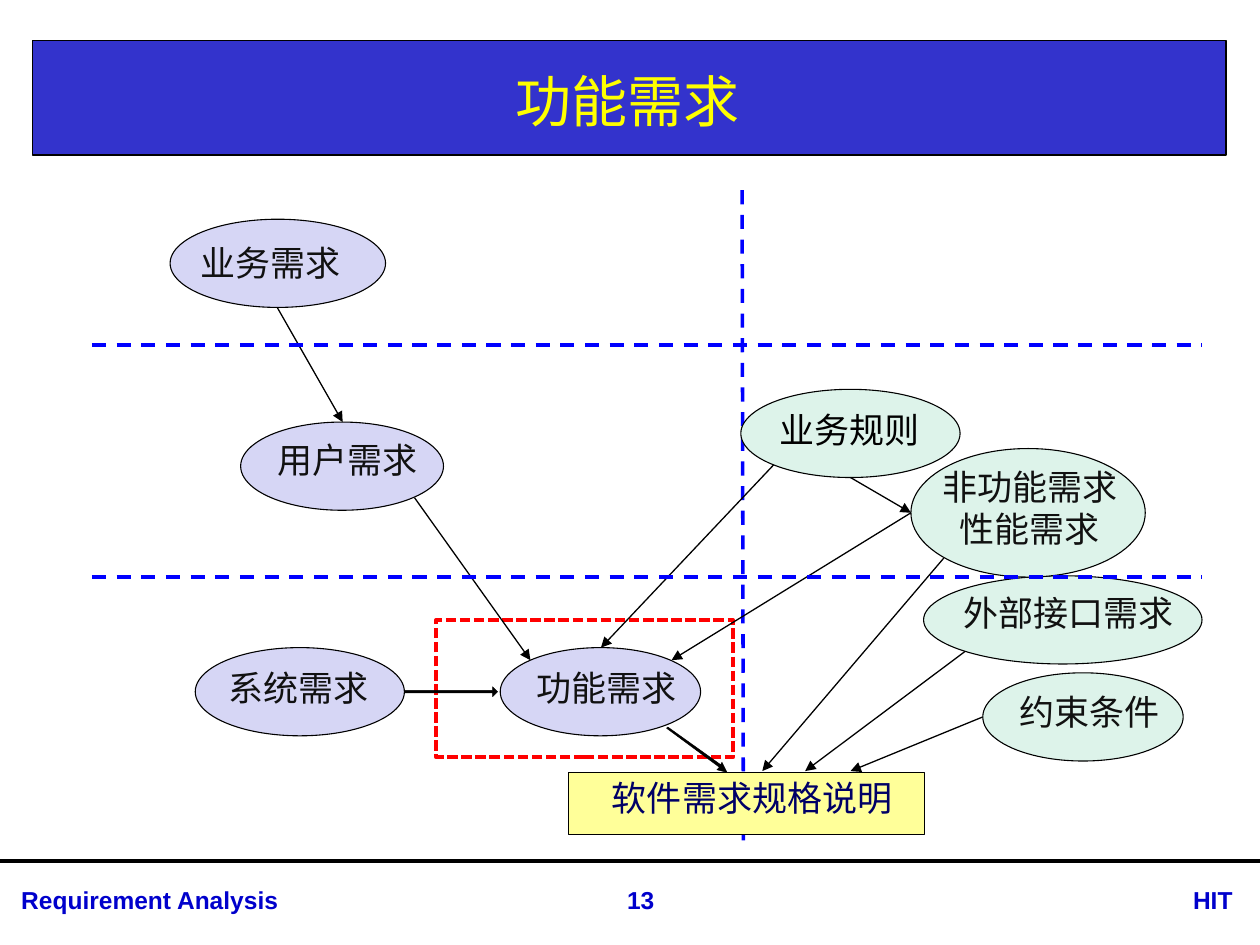
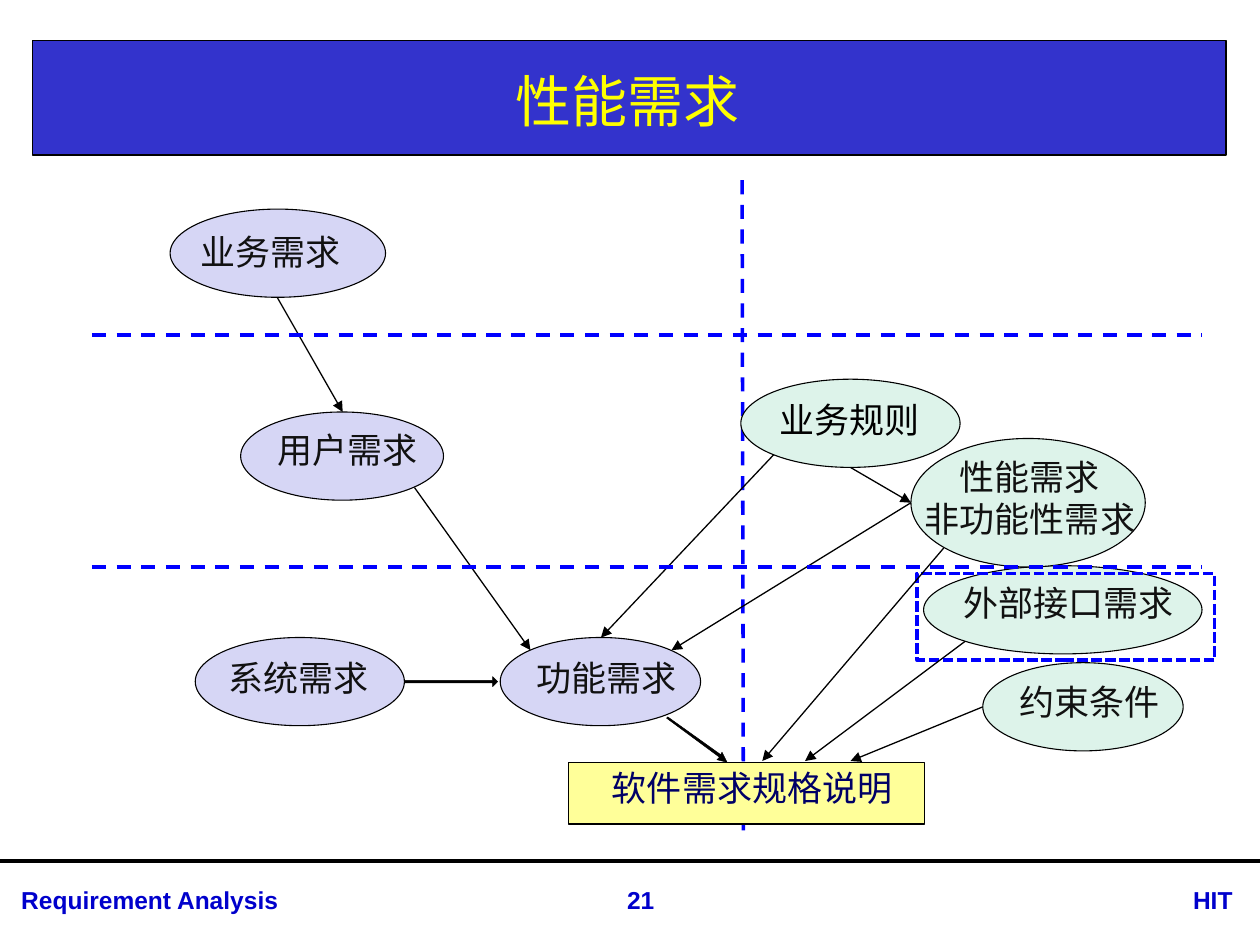
"""Build two slides on functional and performance requirements."""
from lxml import etree
from pptx import Presentation
from pptx.dml.color import RGBColor
from pptx.enum import dml, shapes, text
from pptx.oxml.ns import qn
from pptx.util import Inches, Pt

BLACK = RGBColor(0x00, 0x00, 0x00)
INK = RGBColor(0x11, 0x11, 0x11)
NAVY = RGBColor(0x00, 0x00, 0x66)
BLUE = RGBColor(0x00, 0x00, 0xFF)
RED = RGBColor(0xFF, 0x00, 0x00)
YELLOW = RGBColor(0xFF, 0xFF, 0x00)
BAND_BLUE = RGBColor(0x33, 0x33, 0xCC)
FOOTER_BLUE = RGBColor(0x00, 0x00, 0xCC)
LILAC = RGBColor(0xD6, 0xD6, 0xF5)
MINT = RGBColor(0xDD, 0xF3, 0xEA)
CREAM = RGBColor(0xFF, 0xFF, 0x99)
LATIN, CHINESE = "Arial", "Noto Sans CJK SC"
OVAL, RECT = shapes.MSO_SHAPE.OVAL, shapes.MSO_SHAPE.RECTANGLE
DASH, SHORT_DASH = dml.MSO_LINE.DASH, dml.MSO_LINE.SQUARE_DOT
LEFT, CENTER = text.PP_ALIGN.LEFT, text.PP_ALIGN.CENTER


def write(box, lines, size, font, color, bold=False, align=CENTER, inset=0):
    """Fill a box with middle-anchored lines of one style."""
    frame = box.text_frame
    frame.word_wrap = True
    frame.auto_size = text.MSO_AUTO_SIZE.NONE
    frame.vertical_anchor = text.MSO_ANCHOR.MIDDLE
    frame.margin_left = frame.margin_right = Inches(inset)
    frame.margin_top = frame.margin_bottom = 0
    for index, line in enumerate(lines):
        para = frame.add_paragraph() if index else frame.paragraphs[0]
        para.alignment = align
        if len(lines) > 1:
            para.line_spacing = Pt(24)
        span = para.add_run()
        span.text = line
        span.font.size = Pt(size)
        span.font.bold = bold
        span.font.name = font
        span.font.color.rgb = color
        etree.SubElement(span.font._element, qn("a:ea")).set("typeface", font)


def draw_line(page, start, end, color, width, dash=None, arrow=False):
    """Draw a straight line, dashed or with an arrowhead on request."""
    line = page.shapes.add_connector(
        shapes.MSO_CONNECTOR.STRAIGHT, *map(Inches, start + end))
    line.line.color.rgb = color
    line.line.width = Pt(width)
    if dash:
        line.line.dash_style = dash
    if arrow:
        etree.SubElement(line.line._get_or_add_ln(), qn("a:tailEnd")).set("type", "triangle")
    etree.SubElement(line._element.spPr, qn("a:effectLst"))
    return line


deck = Presentation()
deck.slide_width, deck.slide_height = Inches(10), Inches(7.5)
layout = deck.slide_layouts[5]
for holder in list(layout.placeholders):
    if holder.placeholder_format.type != shapes.PP_PLACEHOLDER.TITLE:
        holder.element.getparent().remove(holder.element)

first_page = deck.slides.add_slide(layout)
band = first_page.shapes.add_shape(RECT, *map(Inches, (0.26, 0.32, 9.47, 0.91)))
band.shadow.inherit = False
band.fill.solid()
band.fill.fore_color.rgb = BAND_BLUE
band.line.color.rgb = BLACK
band.line.width = Pt(0.75)
shared = [band, draw_line(first_page, (0, 6.83), (10, 6.83), BLACK, 2.25)]
for left, width, words in [(0.07, 2.91, "Requirement Analysis"), (9.37, 0.69, "HIT")]:
    footer = first_page.shapes.add_textbox(*map(Inches, (left, 6.97, width, 0.34)))
    write(footer, [words], 14, LATIN, FOOTER_BLUE, True, LEFT, 0.1)
    shared.append(footer)
for part in shared:
    layout.shapes.element.append(part.element)

nodes = [
    (OVAL, (1.35, 1.74, 1.71, 0.7), LILAC),
    (OVAL, (5.88, 3.09, 1.74, 0.7), MINT),
    (OVAL, (3.97, 5.14, 1.59, 0.7), LILAC),
    (OVAL, (1.55, 5.14, 1.66, 0.7), LILAC),
    (RECT, (4.51, 6.13, 2.83, 0.49), CREAM),
    (OVAL, (7.33, 4.57, 2.21, 0.7), MINT),
    (OVAL, (1.91, 3.35, 1.61, 0.7), LILAC),
    (OVAL, (7.8, 5.34, 1.59, 0.7), MINT),
    (OVAL, (7.23, 3.56, 1.86, 1.02), MINT),
]
labels = [
    ((1.24, 1.91, 1.82, 0.34), "业务需求", INK),
    ((5.73, 3.24, 2.03, 0.34), "业务规则", BLACK),
    ((3.74, 5.29, 2.15, 0.34), "功能需求", INK),
    ((1.3, 5.29, 2.14, 0.34), "系统需求", INK),
    ((4.28, 6.16, 3.38, 0.34), "软件需求规格说明", NAVY),
    ((7.22, 4.69, 2.52, 0.34), "外部接口需求", INK),
    ((1.69, 3.48, 2.14, 0.34), "用户需求", INK),
    ((7.56, 5.48, 2.18, 0.34), "约束条件", INK),
]
arrows = [
    ((3.29, 3.95), (4.21, 5.24)),
    ((2.2, 2.44), (2.72, 3.35)),
    ((6.14, 3.69), (4.77, 5.14)),
    ((6.75, 3.79), (7.23, 4.07)),
    ((7.23, 4.07), (5.33, 5.24)),
    ((7.49, 4.43), (6.05, 6.12)),
    ((7.66, 5.17), (6.39, 6.12)),
    ((7.8, 5.69), (6.75, 6.12)),
]
thick_arrows = [
    [(3.21, 5.48), (3.91, 5.48), (3.91, 5.45), (3.95, 5.49),
     (3.91, 5.53), (3.91, 5.5), (3.21, 5.5)],
    [(5.3, 5.77), (5.72, 6.07), (5.73, 6.05), (5.77, 6.13),
     (5.69, 6.11), (5.71, 6.09), (5.29, 5.78)],
]
slides = [
    (first_page, "功能需求", "13", 0, ["非功能需求", "性能需求"],
     (3.46, 4.92, 2.36, 1.09), RED),
    (deck.slides.add_slide(layout), "性能需求", "21", 0.08, ["性能需求", "非功能性需求"],
     (7.28, 4.63, 2.36, 0.69), BLUE),
]

for page, heading, number, rise, quality_lines, highlight, highlight_color in slides:
    title = page.shapes.title
    title.left, title.top, title.width, title.height = map(Inches, (0.26, 0.36, 9.45, 0.87))
    write(title, [heading], 32, CHINESE, YELLOW)
    number_box = page.shapes.add_textbox(*map(Inches, (4.57, 6.97, 1.03, 0.34)))
    write(number_box, [number], 14, LATIN, FOOTER_BLUE, True)
    draw_line(page, (5.89, 1.51 - rise), (5.9, 6.67 - rise), BLUE, 2, DASH)

    for kind, (left, top, width, height), fill in nodes + [(RECT, highlight, None)]:
        node = page.shapes.add_shape(kind, *map(Inches, (left, top - rise, width, height)))
        node.shadow.inherit = False
        if fill:
            node.fill.solid()
            node.fill.fore_color.rgb = fill
            node.line.color.rgb = BLACK
            node.line.width = Pt(0.63)
        else:
            node.fill.background()
            node.line.color.rgb = highlight_color
            node.line.width = Pt(2)
            node.line.dash_style = SHORT_DASH

    quality_label = ((6.91, 3.71, 2.53, 0.64), "\n".join(quality_lines), INK)
    for (left, top, width, height), words, color in labels + [quality_label]:
        label = page.shapes.add_textbox(*map(Inches, (left, top - rise, width, height)))
        write(label, words.split("\n"), 20, CHINESE, color)

    for (x1, y1), (x2, y2) in arrows:
        draw_line(page, (x1, y1 - rise), (x2, y2 - rise), BLACK, 0.75, arrow=True)
    for outline in thick_arrows:
        points = [(Inches(x), Inches(y - rise)) for x, y in outline]
        builder = page.shapes.build_freeform(*points[0])
        builder.add_line_segments(points[1:], close=True)
        thick_arrow = builder.convert_to_shape()
        thick_arrow.shadow.inherit = False
        thick_arrow.fill.solid()
        thick_arrow.fill.fore_color.rgb = BLACK
        thick_arrow.line.color.rgb = BLACK
        thick_arrow.line.width = Pt(0.25)
    for y in (2.74, 4.58):
        draw_line(page, (0.73, y - rise), (9.54, y - rise), BLUE, 2, DASH)

deck.save("out.pptx")
